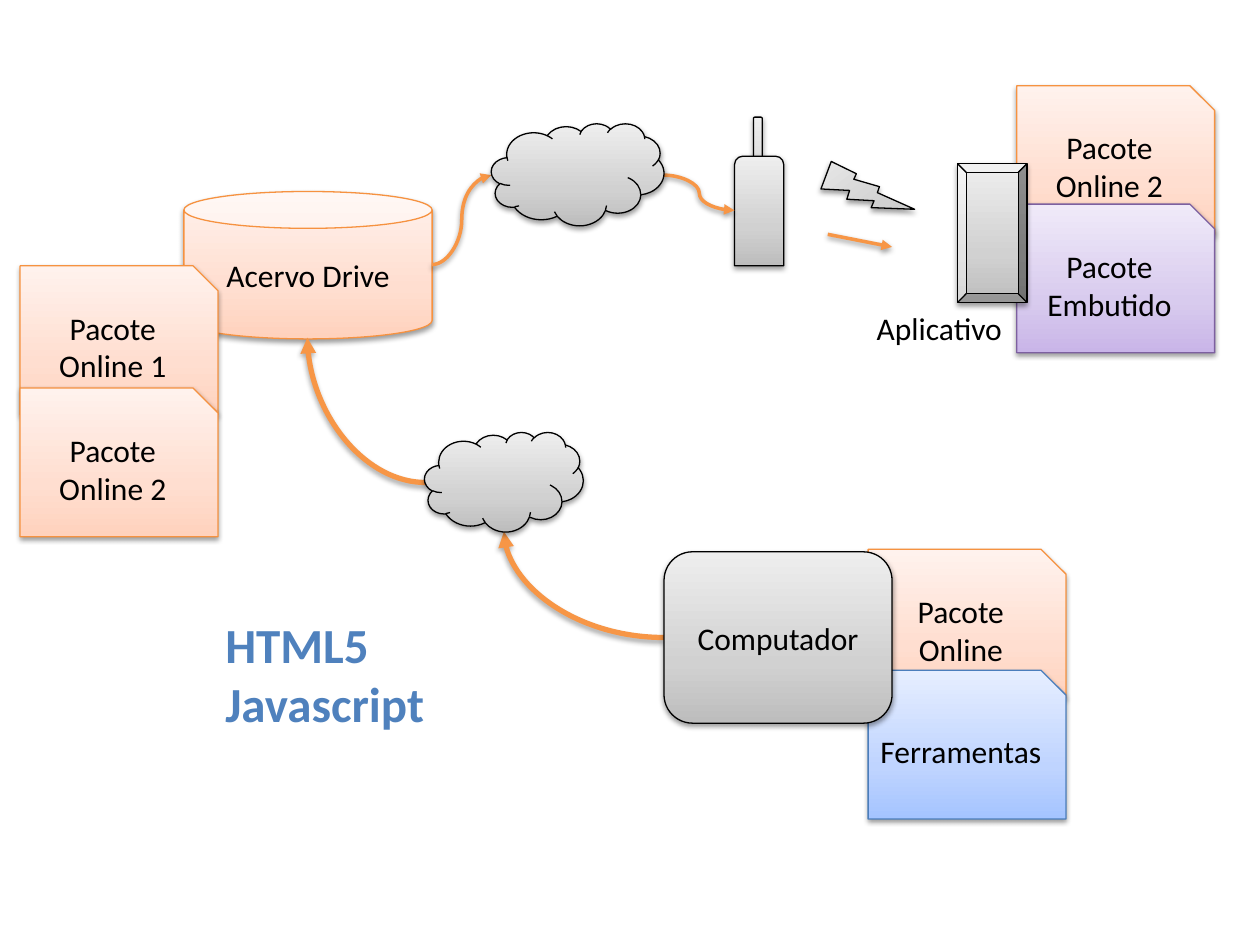
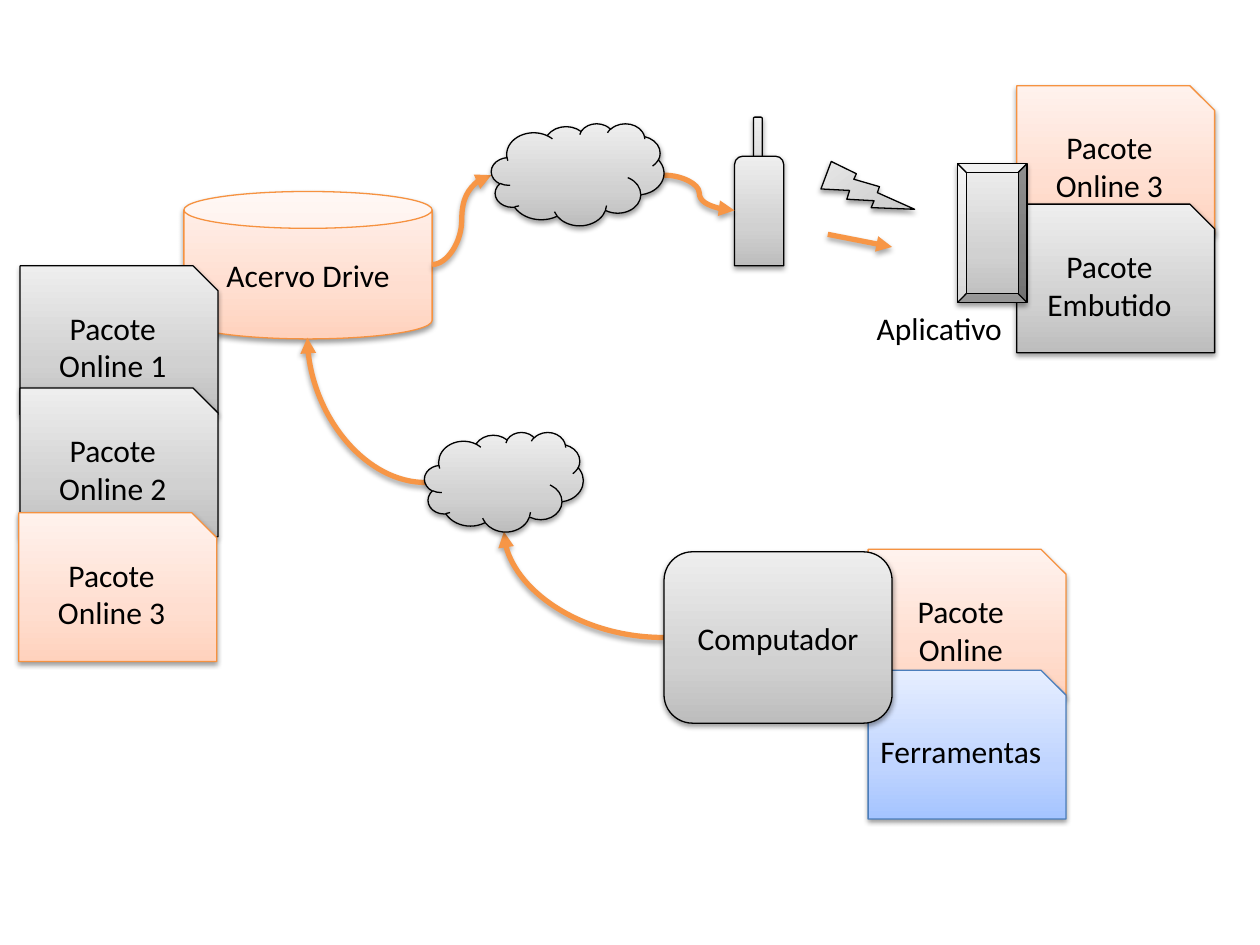
from copy import deepcopy
from dataclasses import dataclass

from lxml import etree
from pptx import Presentation
from pptx.dml.color import RGBColor
from pptx.enum.shapes import MSO_CONNECTOR, MSO_SHAPE
from pptx.enum.text import MSO_ANCHOR, MSO_AUTO_SIZE, PP_ALIGN
from pptx.oxml.ns import qn
from pptx.slide import Slide
from pptx.text.text import TextFrame
from pptx.util import Inches, Pt

PACKAGE = MSO_SHAPE.SNIP_1_RECTANGLE
STORAGE = MSO_SHAPE.CAN
DEVICE = MSO_SHAPE.BEVEL
HANDSET = MSO_SHAPE.ROUND_2_SAME_RECTANGLE
SIGNAL = MSO_SHAPE.LIGHTNING_BOLT
COMPUTER = MSO_SHAPE.ROUNDED_RECTANGLE
CLOUD = MSO_SHAPE.CLOUD
STRAIGHT = MSO_CONNECTOR.STRAIGHT
CURVE = MSO_CONNECTOR.CURVE
MIDDLE = MSO_ANCHOR.MIDDLE
CENTER = PP_ALIGN.CENTER
LEFT = PP_ALIGN.LEFT
FIT_TEXT = MSO_AUTO_SIZE.SHAPE_TO_FIT_TEXT


@dataclass(frozen=True)
class Palette:
    bottom: str
    middle: str
    top: str
    outline: str


@dataclass(frozen=True)
class Shadow:
    opacity: int
    blur: float
    distance: float


@dataclass(frozen=True)
class Stroke:
    width: float
    shadow: Shadow


SOFT = Shadow(38, 3.1, 1.6)
DEEP = Shadow(35, 3.1, 1.8)


@dataclass(frozen=True)
class Theme:
    font: str = "Calibri"
    label_size: int = 18
    label_margin: float = 0.05
    headline_size: int = 28
    outline_width: float = 0.75
    text: str = "000000"
    headline: str = "4F81BD"
    arrow: str = "F79646"
    thin: Stroke = Stroke(2, SOFT)
    thick: Stroke = Stroke(3, DEEP)
    orange: Palette = Palette("FFD2BD", "FFDED0", "FFF2ED", "F69240")
    purple: Palette = Palette("C9B5E8", "D8CBEE", "F0EAF9", "7D60A0")
    blue: Palette = Palette("A4C4FF", "BFD4FF", "E6EEFF", "4B7EBC")
    gray: Palette = Palette("BDBDBD", "D1D1D1", "EEEEEE", "000000")


THEME = Theme()
PACKAGE_SIZE = (1.57, 1.18)


@dataclass(frozen=True)
class Node:
    kind: MSO_SHAPE
    left: float
    top: float
    width: float
    height: float
    palette: Palette = THEME.gray
    lines: tuple[str, ...] = ()
    rotation: float = 0


@dataclass(frozen=True)
class Flow:
    start: tuple[float, float]
    end: tuple[float, float]
    kind: MSO_CONNECTOR = CURVE
    quarter_turn: bool = False


@dataclass(frozen=True)
class Stage:
    app_package: str
    embedded: Palette
    stored: tuple[Node, ...]
    download: Stroke
    headline: tuple[str, ...] = ()


def package(left: float, top: float, palette: Palette, *lines: str) -> Node:
    return Node(PACKAGE, left, top, *PACKAGE_SIZE, palette, lines)


UPLOAD_FLOWS = (
    Flow((5.27, 5.06), (4, 4.22), quarter_turn=True),
    Flow((3.38, 3.83), (2.44, 2.68), quarter_turn=True),
)
DOWNLOAD_FLOWS = (
    Flow((3.43, 2.1), (3.9, 1.39)),
    Flow((5.27, 1.39), (5.83, 1.67)),
    Flow((6.57, 1.86), (7.08, 1.96), STRAIGHT),
)
PHONE_AND_SIGNAL = (
    Node(HANDSET, 5.98, 0.93, 0.07, 0.87),
    Node(HANDSET, 5.83, 1.24, 0.39, 0.87),
    Node(SIGNAL, 6.6, 1.18, 0.5, 0.7, rotation=323.3),
)
WORKSTATION = (
    package(6.89, 5.32, THEME.blue, "Ferramentas"),
    Node(COMPUTER, 5.27, 4.38, 1.81, 1.36, lines=("Computador",)),
)
CLOUDS = (
    Node(CLOUD, 3.9, 0.98, 1.37, 0.81),
    Node(CLOUD, 3.37, 3.43, 1.26, 0.79),
)
STAGES = (
    Stage(
        "Online 2",
        THEME.purple,
        (
            package(0.16, 2.11, THEME.orange, "Pacote", "Online 1"),
            package(0.16, 3.08, THEME.orange, "Pacote", "Online 2"),
        ),
        THEME.thin,
        ("HTML5", "Javascript"),
    ),
    Stage(
        "Online 3",
        THEME.gray,
        (
            package(0.16, 2.11, THEME.gray, "Pacote", "Online 1"),
            package(0.16, 3.08, THEME.gray, "Pacote", "Online 2"),
            package(0.15, 4.07, THEME.orange, "Pacote", "Online 3"),
        ),
        THEME.thick,
    ),
)


def add_shadow(properties: etree.ElementBase, shadow: Shadow) -> None:
    effects = etree.SubElement(properties, qn("a:effectLst"))
    outer = etree.SubElement(
        effects,
        qn("a:outerShdw"),
        blurRad=str(Pt(shadow.blur)),
        dist=str(Pt(shadow.distance)),
        dir="5400000",
        rotWithShape="0",
    )
    color = etree.SubElement(outer, qn("a:srgbClr"), val="000000")
    etree.SubElement(color, qn("a:alpha"), val=str(shadow.opacity * 1000))


def write_lines(
    frame: TextFrame,
    lines: tuple[str, ...],
    size: int,
    color: str,
    align: PP_ALIGN,
    bold: bool = False,
) -> None:
    for index, line in enumerate(lines):
        paragraph = frame.add_paragraph() if index else frame.paragraphs[0]
        paragraph.alignment = align
        run = paragraph.add_run()
        run.text = line
        run.font.name = THEME.font
        run.font.size = Pt(size)
        run.font.bold = bold
        run.font.color.rgb = RGBColor.from_string(color)


def draw_node(slide: Slide, node: Node) -> None:
    box = map(Inches, (node.left, node.top, node.width, node.height))
    shape = slide.shapes.add_shape(node.kind, *box)
    shape.rotation = node.rotation
    properties = shape._element.spPr

    shape.fill.gradient()
    shape.fill.gradient_angle = 90
    stop_list = properties.find(qn("a:gradFill")).find(qn("a:gsLst"))
    stop_list.append(deepcopy(stop_list[-1]))
    palette = node.palette
    colors = (palette.bottom, palette.middle, palette.top)
    for stop, position, color in zip(shape.fill.gradient_stops, (0, 0.35, 1), colors):
        stop.position = position
        stop.color.rgb = RGBColor.from_string(color)

    shape.line.color.rgb = RGBColor.from_string(palette.outline)
    shape.line.width = Pt(THEME.outline_width)
    add_shadow(properties, SOFT)
    if node.lines:
        frame = shape.text_frame
        frame.word_wrap = True
        frame.margin_left = frame.margin_right = Inches(THEME.label_margin)
        frame.vertical_anchor = MIDDLE
        write_lines(frame, node.lines, THEME.label_size, THEME.text, CENTER)


def draw_flow(slide: Slide, flow: Flow, stroke: Stroke) -> None:
    ends = map(Inches, (*flow.start, *flow.end))
    arrow = slide.shapes.add_connector(flow.kind, *ends)
    arrow.line.color.rgb = RGBColor.from_string(THEME.arrow)
    arrow.line.width = Pt(stroke.width)
    properties = arrow._element.spPr
    if flow.quarter_turn:
        properties.find(qn("a:prstGeom")).set("prst", "curvedConnector2")
    etree.SubElement(properties.find(qn("a:ln")), qn("a:tailEnd"), type="triangle")
    add_shadow(properties, stroke.shadow)


def draw_caption(
    slide: Slide,
    box: tuple[float, float, float, float],
    lines: tuple[str, ...],
    size: int,
    color: str,
    bold: bool = False,
) -> None:
    frame = slide.shapes.add_textbox(*map(Inches, box)).text_frame
    frame.word_wrap = False
    frame.auto_size = FIT_TEXT
    write_lines(frame, lines, size, color, LEFT, bold)


def draw_stage(slide: Slide, stage: Stage) -> None:
    delivery = (
        package(8.07, 0.68, THEME.orange, "Pacote", stage.app_package),
        package(6.89, 4.36, THEME.orange, "Pacote", "Online"),
        package(8.07, 1.62, stage.embedded, "Pacote", "Embutido"),
        Node(STORAGE, 1.46, 1.52, 1.97, 1.17, THEME.orange, ("Acervo Drive",)),
        Node(DEVICE, 7.6, 1.3, 0.55, 1.1),
    )
    for node in delivery + PHONE_AND_SIGNAL:
        draw_node(slide, node)
    draw_caption(
        slide, (6.86, 2.4, 1.21, 0.4), ("Aplicativo",), THEME.label_size, THEME.text
    )
    for flow in UPLOAD_FLOWS:
        draw_flow(slide, flow, THEME.thick)
    for flow in DOWNLOAD_FLOWS:
        draw_flow(slide, flow, stage.download)
    for node in WORKSTATION + stage.stored + CLOUDS:
        draw_node(slide, node)
    if stage.headline:
        draw_caption(
            slide,
            (1.69, 4.83, 1.8, 1.04),
            stage.headline,
            THEME.headline_size,
            THEME.headline,
            bold=True,
        )


def main() -> None:
    presentation = Presentation()
    presentation.slide_width = Inches(10)
    presentation.slide_height = Inches(7.5)
    blank_layout = presentation.slide_layouts[6]
    for stage in STAGES:
        draw_stage(presentation.slides.add_slide(blank_layout), stage)
    presentation.save("out.pptx")


main()
